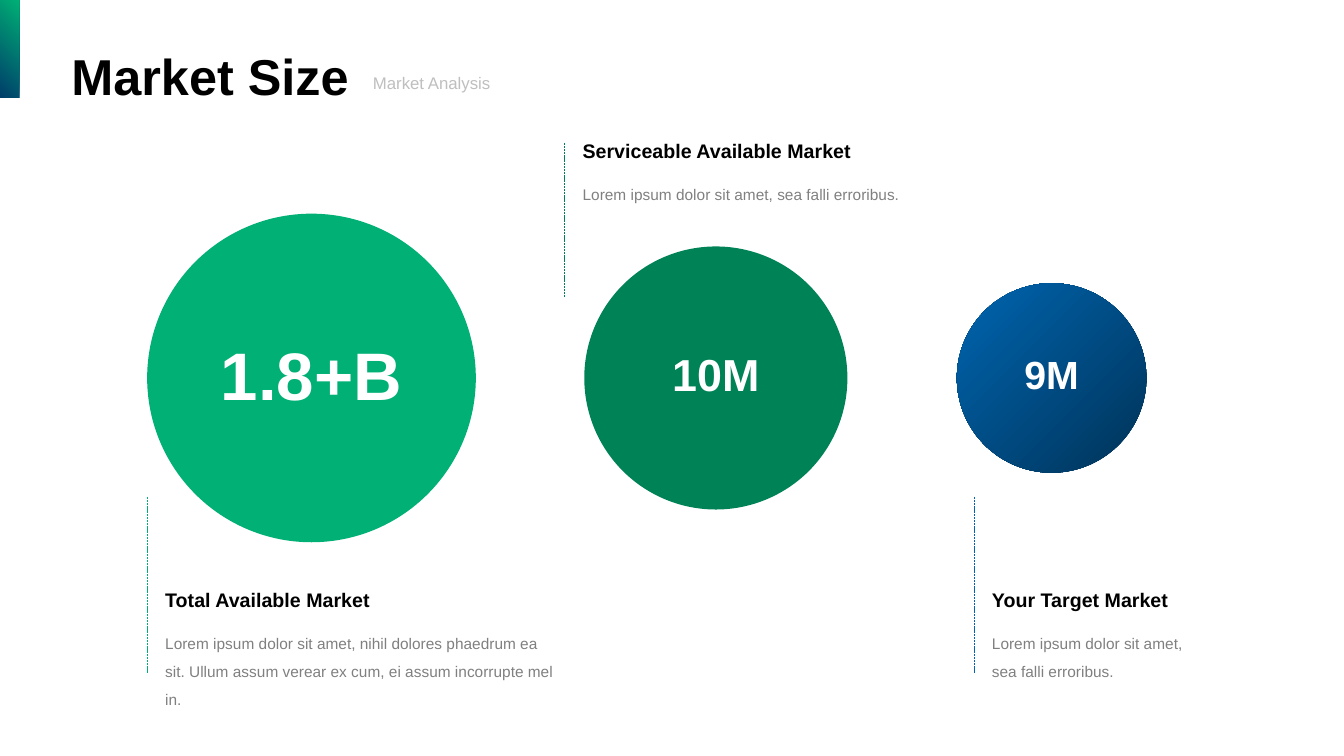
"""Build the market size slide."""
import pptx
import pptx.dml.color
import pptx.enum.dml
import pptx.enum.shapes
import pptx.enum.text
import pptx.oxml
import pptx.oxml.ns
import pptx.util

Inches = pptx.util.Inches
Shapes = pptx.enum.shapes.MSO_SHAPE
Align = pptx.enum.text.PP_ALIGN

COLORS = {
    "green": "00B075", "forest": "008257", "blue": "0065B0", "navy": "003358",
    "deep": "003D6A", "black": "000000", "white": "FFFFFF", "gray": "808080",
    "silver": "BFBFBF",
}
CENTER_Y = 3.75
CAPTION_GAP = 0.37
RULE_GAP = 0.08

MARKETS = [
    dict(amount="1.8+B", size=48, label_height=0.91, circle=(3.09, 3.26),
         colors=["green"], title="Total Available Market",
         body="Lorem ipsum dolor sit amet, nihil dolores phaedrum ea sit. "
              "Ullum assum verear ex cum, ei assum incorrupte mel in.",
         caption=(1.54, 5.78, 4.11, 0.62), title_width=4.11, rule=(4.93, 6.68)),
    dict(amount="10M", size=32, label_height=0.64, circle=(7.1, 2.61),
         colors=["forest"], title="Serviceable Available Market",
         body="Lorem ipsum dolor sit amet, sea falli erroribus.",
         caption=(5.68, 1.33, 4.11, 0.34), title_width=4.11, rule=(1.42, 2.95)),
    dict(amount="9M", size=28, label_height=0.57, circle=(10.43, 1.88),
         colors=["blue", "navy"], title="Your Target Market",
         body="Lorem ipsum dolor sit amet, sea falli erroribus.",
         caption=(9.74, 5.78, 2.17, 0.62), title_width=2.71, rule=(4.93, 6.68)),
]


def rgb(name):
    """Return the named colour."""
    return pptx.dml.color.RGBColor.from_string(COLORS[name])


def add_text(slide, box, text, size, color, bold=False, align=Align.LEFT, spacing=None):
    """Add one wrapped paragraph in the given box."""
    frame = slide.shapes.add_textbox(*map(Inches, box)).text_frame
    frame.word_wrap = True
    frame.auto_size = pptx.enum.text.MSO_AUTO_SIZE.SHAPE_TO_FIT_TEXT
    paragraph = frame.paragraphs[0]
    paragraph.alignment = align
    paragraph.line_spacing = spacing
    run = paragraph.add_run()
    run.text = text
    run.font.name = "Arial"
    run.font.size = pptx.util.Pt(size)
    run.font.bold = bold
    run.font.color.rgb = rgb(color)


def add_filled(slide, kind, box, colors, focus="l"):
    """Add a borderless shape, with a radial gradient if two colours are given."""
    shape = slide.shapes.add_shape(kind, *map(Inches, box))
    shape.shadow.inherit = False
    shape.line.fill.background()
    if len(colors) == 1:
        shape.fill.solid()
        shape.fill.fore_color.rgb = rgb(colors[0])
        return
    shape.fill.gradient()
    for stop, color in zip(shape.fill.gradient_stops, colors):
        stop.color.rgb = rgb(color)
    gradient = shape._element.spPr.find(pptx.oxml.ns.qn("a:gradFill"))
    linear = gradient.find(pptx.oxml.ns.qn("a:lin"))
    gradient.replace(linear, pptx.oxml.parse_xml(
        f'<a:path {pptx.oxml.ns.nsdecls("a")} path="circle">'
        f'<a:fillToRect {focus}="100000" b="100000"/></a:path>'))


def add_rule(slide, x, top, bottom, color):
    """Add a thin dashed vertical rule."""
    rule = slide.shapes.add_connector(
        pptx.enum.shapes.MSO_CONNECTOR.STRAIGHT,
        *map(Inches, (x, top, x, bottom)))
    rule.line.width = pptx.util.Pt(0.5)
    rule.line.color.rgb = rgb(color)
    rule.line.dash_style = pptx.enum.dml.MSO_LINE.SQUARE_DOT
    rule._element.spPr.append(
        pptx.oxml.parse_xml(f'<a:effectLst {pptx.oxml.ns.nsdecls("a")}/>'))


def add_header(slide, left, top):
    """Add the corner accent, the title and the section name."""
    add_filled(slide, Shapes.RECTANGLE, (0, 0, 0.19, 0.97), ["green", "deep"], focus="l")
    add_text(slide, (left, top, 4.98, 0.71), "Market Size", 36, "black", bold=True)
    add_text(slide, (left + 2.99, top + 0.27, 1.91, 0.3), "Market Analysis", 12, "silver")


def add_circle(slide, center_x, diameter, market):
    """Add a market circle with its amount in the middle."""
    left = center_x - diameter / 2
    add_filled(slide, Shapes.OVAL, (left, CENTER_Y - diameter / 2, diameter, diameter),
               market["colors"], focus="r")
    height = market["label_height"]
    add_text(slide, (left, CENTER_Y - 0.04 - height / 2, diameter, height),
             market["amount"], market["size"], "white", bold=True, align=Align.CENTER)


def add_caption(slide, box, market):
    """Add the title, description and rule of a market."""
    left, top, width, height = box
    add_text(slide, (left, top, market["title_width"], 0.34), market["title"], 14,
             "black", bold=True)
    add_text(slide, (left, top + CAPTION_GAP, width, height), market["body"], 11,
             "gray", spacing=1.5)
    add_rule(slide, left - RULE_GAP, *market["rule"], market["colors"][0])


def main():
    """Build and save the slide."""
    deck = pptx.Presentation()
    deck.slide_width, deck.slide_height = Inches(13.33), Inches(7.5)
    slide = deck.slides.add_slide(deck.slide_layouts[6])
    add_header(slide, 0.61, 0.4)
    for market in MARKETS:
        add_circle(slide, *market["circle"], market)
        add_caption(slide, market["caption"], market)
    deck.save("out.pptx")


if __name__ == "__main__":
    main()
